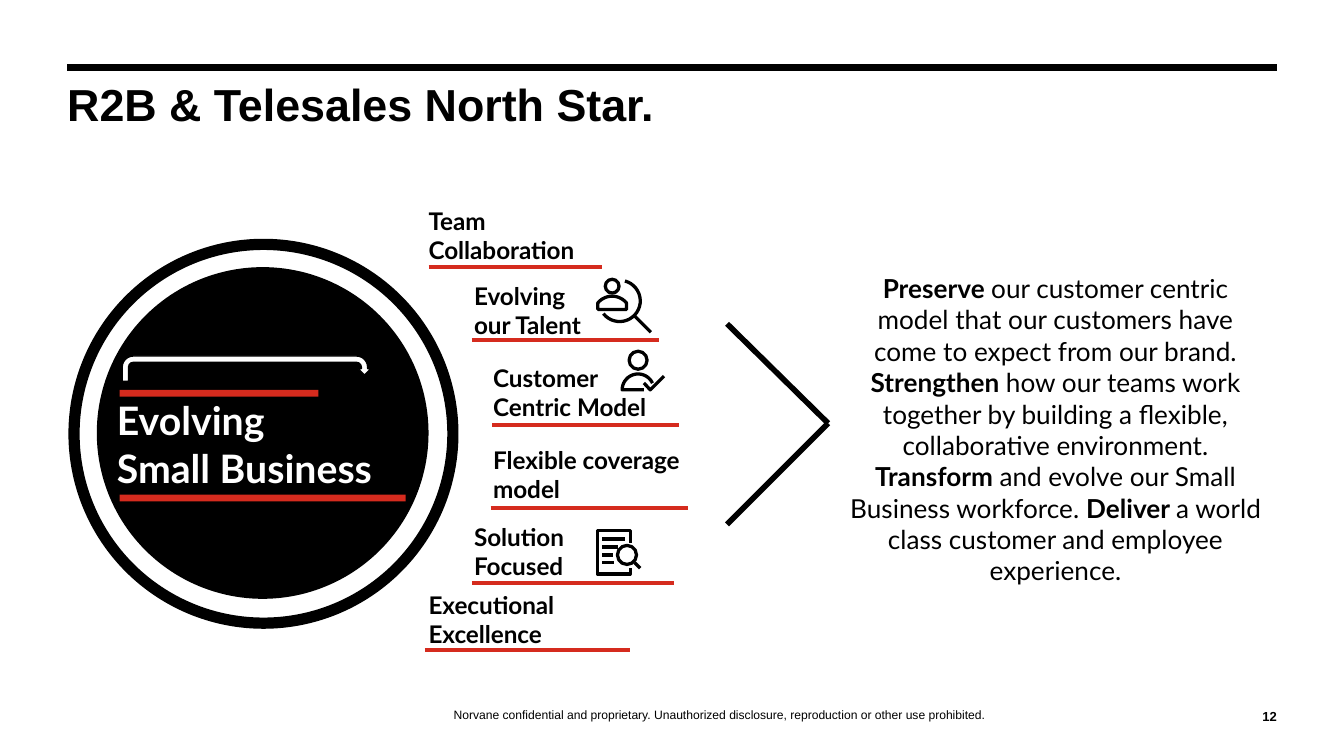
from math import cos, radians, sin

from lxml.etree import SubElement
from pptx import Presentation
from pptx.dml.color import RGBColor
from pptx.enum.shapes import MSO_CONNECTOR, MSO_SHAPE
from pptx.enum.text import MSO_ANCHOR, PP_ALIGN
from pptx.oxml.ns import qn
from pptx.util import Cm, Pt

BLACK, WHITE, RED = "000000", "FFFFFF", "D52B1E"
INSET, LABEL_H, ICON_PT = 0.25, 1.02, 1.75

TITLE = "R2B & Telesales North Star."
FOOTER = ("Norvane confidential and proprietary. Unauthorized disclosure, "
          "reproduction or other use prohibited.")
PAGE = "12"
FOCUS = ["Evolving", "Small Business"]
FOCUS_BARS = [(7.37, 3.76), (9.35, 5.41)]

# label lines, left, top, width, then rule start, end, height
LABELS = [
    (["Team", "Collaboration"], (7.85, 3.94, 4.06), (8.1, 11.38, 5.05)),
    (["Evolving", "our Talent"], (8.71, 5.36, 2.84), (8.92, 12.45, 6.43)),
    (["Customer Centric Model"], (9.07, 6.91, 4.06), (9.3, 12.83, 8.03)),
    (["Flexible coverage model"], (9.07, 8.46, 4.06), (9.27, 13, 9.6)),
    (["Solution", "Focused"], (8.71, 9.91, 2.57), (8.92, 12.73, 11.02)),
    (["Executional Excellence"], (7.85, 11.2, 3.45), (8.03, 11.91, 12.29)),
]
VISION = [
    ("Preserve ", "our customer centric model that our customers have come to "
     "expect from our brand. "),
    ("Strengthen ", "how our teams work together by building a flexible, "
     "collaborative environment. "),
    ("Transform ", "and evolve our Small Business workforce. "),
    ("Deliver ", "a world class customer and employee experience."),
]
CHEVRON = [(13.74, 6.12), (15.65, 8), (13.74, 9.91)]


def arc(cx, cy, r, start, end, steps=24):
    angles = [radians(start + (end - start) * i / steps) for i in range(steps + 1)]
    return [(cx + r * cos(a), cy + r * sin(a)) for a in angles]


ICON_CIRCLES = [(11.57, 5.41, 0.13), (12.06, 6.81, 0.17), (11.85, 10.49, 0.18)]
ICON_LINES = [
    [(12, 5.98), (12.3, 6.28)],
    [(11.99, 10.63), (12.1, 10.74)],
] + [[(11.38, 10.19 + 0.15 * i), (end, 10.19 + 0.15 * i)]
     for i, end in enumerate([11.81, 11.68, 11.58, 11.61])]
ICON_PATHS = [
    (arc(11.57, 5.95, 0.35, 219, 321) + [(11.84, 5.85), (11.3, 5.85)], True),
    (arc(11.71, 5.69, 0.39, -75, 142), False),
    ([(12.17, 7.37)] + arc(12.06, 7.37, 0.3, 180, 335), False),
    ([(12.17, 7.24), (12.29, 7.37), (12.55, 7.11)], False),
    ([(11.91, 10.26), (11.91, 10.03), (11.29, 10.03),
      (11.29, 10.85), (11.91, 10.85), (11.91, 10.74)], False),
]


def rgb(color):
    return RGBColor.from_string(color)


def style(sp, fill=None, line=None, width=0.75):
    sp.shadow.inherit = False
    if fill:
        sp.fill.solid()
        sp.fill.fore_color.rgb = rgb(fill)
    else:
        sp.fill.background()
    if line:
        sp.line.color.rgb = rgb(line)
        sp.line.width = Pt(width)
    else:
        sp.line.fill.background()
    return sp


def add_shape(s, kind, x, y, w, h, **look):
    return style(s.shapes.add_shape(kind, Cm(x), Cm(y), Cm(w), Cm(h)), **look)


def add_line(s, start, end, color, width):
    ln = s.shapes.add_connector(MSO_CONNECTOR.STRAIGHT, *map(Cm, start + end))
    ln.line.color.rgb = rgb(color)
    ln.line.width = Pt(width)
    SubElement(ln._element.spPr, qn("a:effectLst"))


def add_path(s, points, closed):
    pts = [(Cm(x), Cm(y)) for x, y in points]
    fb = s.shapes.build_freeform(*pts[0])
    fb.add_line_segments(pts[1:], close=closed)
    style(fb.convert_to_shape(), line=BLACK, width=ICON_PT)


def add_text(s, paragraphs, x, y, w, h, size, font="Lato", color=BLACK, inset=0,
             anchor=MSO_ANCHOR.MIDDLE, align=PP_ALIGN.LEFT, spacing=1.0):
    tf = s.shapes.add_textbox(Cm(x), Cm(y), Cm(w), Cm(h)).text_frame
    tf.word_wrap = True
    tf.vertical_anchor = anchor
    tf.margin_left = tf.margin_right = tf.margin_top = tf.margin_bottom = Cm(inset)
    for i, runs in enumerate(paragraphs):
        p = tf.add_paragraph() if i else tf.paragraphs[0]
        p.alignment = align
        p.line_spacing = spacing
        for text, bold in runs:
            r = p.add_run()
            r.text = text
            r.font.name = font
            r.font.size = Pt(size)
            r.font.bold = bold
            r.font.color.rgb = rgb(color)


def bold_lines(lines):
    return [[(line, True)] for line in lines]


prs = Presentation()
prs.slide_width, prs.slide_height = Cm(25.4), Cm(14.29)
s = prs.slides.add_slide(prs.slide_layouts[6])

add_text(s, [[(FOOTER, False)]], 3.71, 12.8, 19.79, 0.84, 6.5, "Arial",
         anchor=MSO_ANCHOR.BOTTOM, align=PP_ALIGN.CENTER, spacing=1.14)
add_line(s, (1.27, 1.27), (24.13, 1.27), BLACK, 3.75)
add_text(s, bold_lines([PAGE]), 23.5, 13.06, 0.63, 0.63, 7, "Arial",
         anchor=MSO_ANCHOR.BOTTOM, align=PP_ALIGN.RIGHT)
add_text(s, bold_lines([TITLE]), 1.27, 1.65, 19.69, 0.79, 24, "Arial",
         anchor=MSO_ANCHOR.TOP, spacing=0.8)

add_shape(s, MSO_SHAPE.OVAL, 1.4, 4.62, 7.16, 7.16, line=BLACK, width=6)
add_shape(s, MSO_SHAPE.OVAL, 1.83, 5.05, 6.27, 6.27, fill=BLACK)
add_text(s, bold_lines(FOCUS), 1.96, 6.98, 7.16, 2.82, 21, color=WHITE, inset=INSET)
for y, w in FOCUS_BARS:
    add_shape(s, MSO_SHAPE.RECTANGLE, 2.26, y, w, 0.13, fill=RED)
arrow = add_shape(s, MSO_SHAPE.U_TURN_ARROW, 2.31, 6.73, 4.7, 0.48,
                  fill=WHITE, line=BLACK)
for i, value in enumerate([0.25, 0.25, 0.25, 0.44, 0.75]):
    arrow.adjustments[i] = value

for lines, (x, y, w), (x1, x2, rule_y) in LABELS:
    add_text(s, bold_lines(lines), x, y, w, LABEL_H, 13, inset=INSET)
    add_line(s, (x1, rule_y), (x2, rule_y), RED, 2.25)

for cx, cy, r in ICON_CIRCLES:
    add_shape(s, MSO_SHAPE.OVAL, cx - r, cy - r, 2 * r, 2 * r,
              line=BLACK, width=ICON_PT)
for start, end in ICON_LINES:
    add_line(s, start, end, BLACK, ICON_PT)
for points, closed in ICON_PATHS:
    add_path(s, points, closed)

for start, end in zip(CHEVRON, CHEVRON[1:]):
    add_line(s, start, end, BLACK, 3)
vision_runs = [run for lead, rest in VISION for run in ((lead, True), (rest, False))]
add_text(s, [vision_runs], 15.77, 4.37, 8.36, 7.49, 14, inset=INSET,
         align=PP_ALIGN.CENTER)

prs.save("out.pptx")
